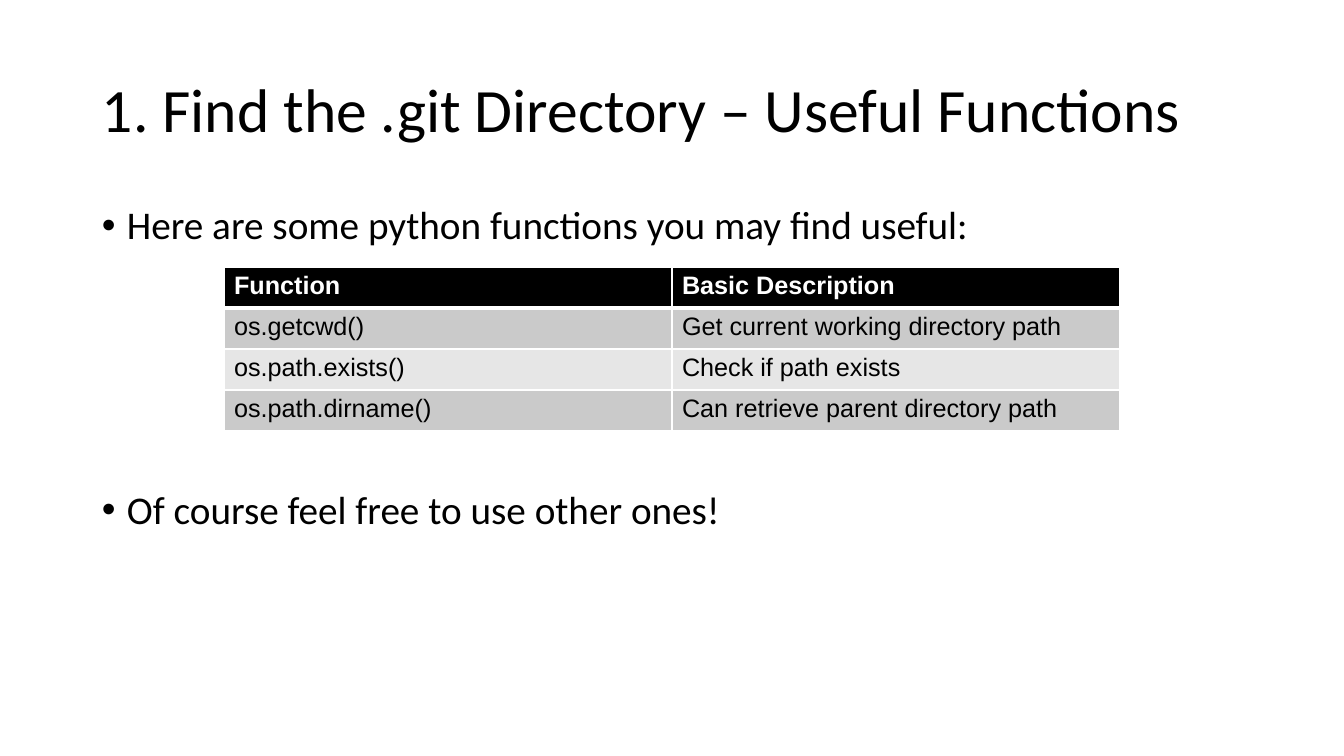
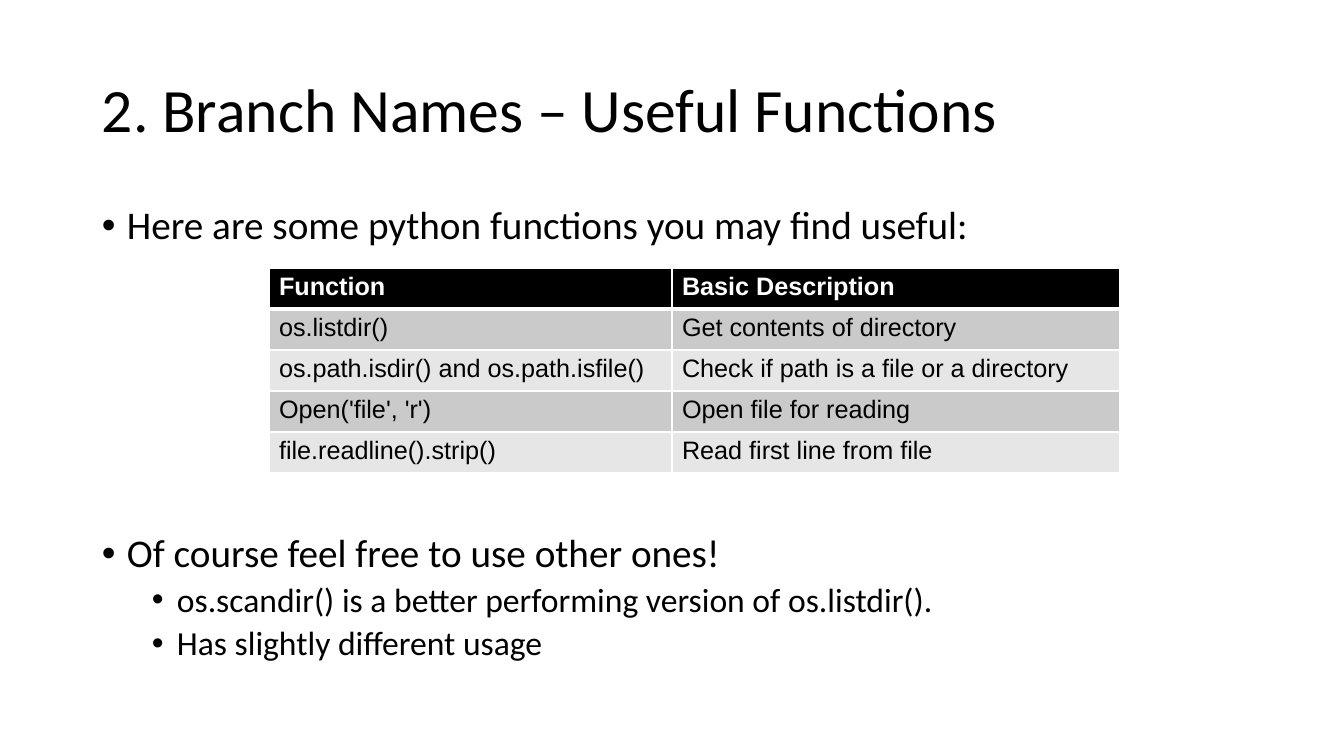
from dataclasses import dataclass

from lxml import etree
from pptx import Presentation
from pptx.dml.color import RGBColor
from pptx.enum.text import MSO_ANCHOR
from pptx.oxml.ns import qn
from pptx.util import Emu, Pt

MIDDLE = MSO_ANCHOR.MIDDLE
TOP = MSO_ANCHOR.TOP

SLIDE_WIDTH, SLIDE_HEIGHT = 1344, 756
EMU_PER_PX = 12192000 / SLIDE_WIDTH
COLOURS = {
    "text": "000000",
    "header": "000000",
    "header_text": "FFFFFF",
    "border": "FFFFFF",
    "odd_row": "CACACA",
    "even_row": "E6E6E6",
}
HEADING_FONT, TABLE_FONT = "Calibri", "Arial"
BLANK_LAYOUT = 6
CONTENT_LEFT, CONTENT_WIDTH = 92, 1159
TABLE_RIGHT = 1120
DESCRIPTION_WIDTH = 448
ROW_HEIGHT = 41
BULLET_HANG = 25
BULLET_STEP = 50
HEADER = ("Function", "Basic Description")
INTRODUCTION = "Here are some python functions you may find useful:"
CLOSING = "Of course feel free to use other ones!"


@dataclass(frozen=True)
class FunctionSlide:
    title: str
    table_top: int
    function_width: int
    functions: tuple[tuple[str, str], ...]
    remarks: tuple[str, ...] = ()


@dataclass(frozen=True)
class Bullet:
    text: str
    level: int
    size: int
    space_before: int


SLIDES = (
    FunctionSlide(
        "1. Find the .git Directory – Useful Functions", 267, 448,
        (
            ("os.getcwd()", "Get current working directory path"),
            ("os.path.exists()", "Check if path exists"),
            ("os.path.dirname()", "Can retrieve parent directory path"),
        ),
    ),
    FunctionSlide(
        "2. Branch Names – Useful Functions", 268, 403,
        (
            ("os.listdir()", "Get contents of directory"),
            ("os.path.isdir() and os.path.isfile()", "Check if path is a file or a directory"),
            ("Open('file', 'r')", "Open file for reading"),
            ("file.readline().strip()", "Read first line from file"),
        ),
        (
            "os.scandir() is a better performing version of os.listdir().",
            "Has slightly different usage",
        ),
    ),
)


def px(length: int) -> Emu:
    return Emu(round(length * EMU_PER_PX))


def colour(name: str) -> RGBColor:
    return RGBColor.from_string(COLOURS[name])


def style_font(paragraph, name: str, size: int, colour_name: str, bold: bool = False) -> None:
    font = paragraph.font
    font.name, font.size, font.bold = name, Pt(size), bold
    font.color.rgb = colour(colour_name)


def add_text_frame(slide, top: int, height: int, anchor):
    shape = slide.shapes.add_textbox(px(CONTENT_LEFT), px(top), px(CONTENT_WIDTH), px(height))
    frame = shape.text_frame
    frame.word_wrap = True
    frame.vertical_anchor = anchor
    return frame


def add_title(slide, title: str) -> None:
    paragraph = add_text_frame(slide, 40, 146, MIDDLE).paragraphs[0]
    paragraph.text = title
    paragraph.line_spacing = 0.9
    style_font(paragraph, HEADING_FONT, 44, "text")


def set_bullet(paragraph, level: int) -> None:
    paragraph.level = level
    properties = paragraph._p.get_or_add_pPr()
    properties.set("marL", str(px(BULLET_HANG + level * BULLET_STEP)))
    properties.set("indent", str(-px(BULLET_HANG)))
    etree.SubElement(properties, qn("a:buFont"), typeface="Arial")
    etree.SubElement(properties, qn("a:buChar"), char="•")


def add_bullets(slide, content: FunctionSlide) -> None:
    space_for_table = 49 + 31 * (len(content.functions) + 1)
    bullets = [Bullet(INTRODUCTION, 0, 28, 0), Bullet(CLOSING, 0, 28, space_for_table)]
    bullets += [Bullet(remark, 1, 24, 5) for remark in content.remarks]
    frame = add_text_frame(slide, 201, 480, TOP)
    for index, bullet in enumerate(bullets):
        paragraph = frame.add_paragraph() if index else frame.paragraphs[0]
        paragraph.text = bullet.text
        set_bullet(paragraph, bullet.level)
        paragraph.line_spacing = 0.9
        paragraph.space_before = Pt(bullet.space_before)
        style_font(paragraph, HEADING_FONT, bullet.size, "text")


def set_borders(cell, top: int, bottom: int) -> None:
    properties = cell._tc.get_or_add_tcPr()
    for tag, width in (("lnL", 1), ("lnR", 1), ("lnT", top), ("lnB", bottom)):
        line = etree.SubElement(properties, qn(f"a:{tag}"), w=str(Pt(width)))
        fill = etree.SubElement(line, qn("a:solidFill"))
        etree.SubElement(fill, qn("a:srgbClr"), val=COLOURS["border"])


def add_function_table(slide, content: FunctionSlide) -> None:
    rows = (HEADER, *content.functions)
    widths = (content.function_width, DESCRIPTION_WIDTH)
    table = slide.shapes.add_table(
        len(rows), len(widths), px(TABLE_RIGHT - sum(widths)), px(content.table_top),
        px(sum(widths)), px(ROW_HEIGHT * len(rows)),
    ).table
    for column, width in zip(table.columns, widths):
        column.width = px(width)
    for row_index, row in enumerate(rows):
        is_header = row_index == 0
        fill_name = "header" if is_header else "odd_row" if row_index % 2 else "even_row"
        for column_index, text in enumerate(row):
            cell = table.cell(row_index, column_index)
            cell.text = text
            set_borders(cell, 3 if row_index == 1 else 1, 3 if is_header else 1)
            cell.fill.solid()
            cell.fill.fore_color.rgb = colour(fill_name)
            style_font(cell.text_frame.paragraphs[0], TABLE_FONT, 18,
                       "header_text" if is_header else "text", is_header)


def main() -> None:
    presentation = Presentation()
    presentation.slide_width = px(SLIDE_WIDTH)
    presentation.slide_height = px(SLIDE_HEIGHT)
    for content in SLIDES:
        slide = presentation.slides.add_slide(presentation.slide_layouts[BLANK_LAYOUT])
        add_title(slide, content.title)
        add_bullets(slide, content)
        add_function_table(slide, content)
    presentation.save("out.pptx")


if __name__ == "__main__":
    main()
